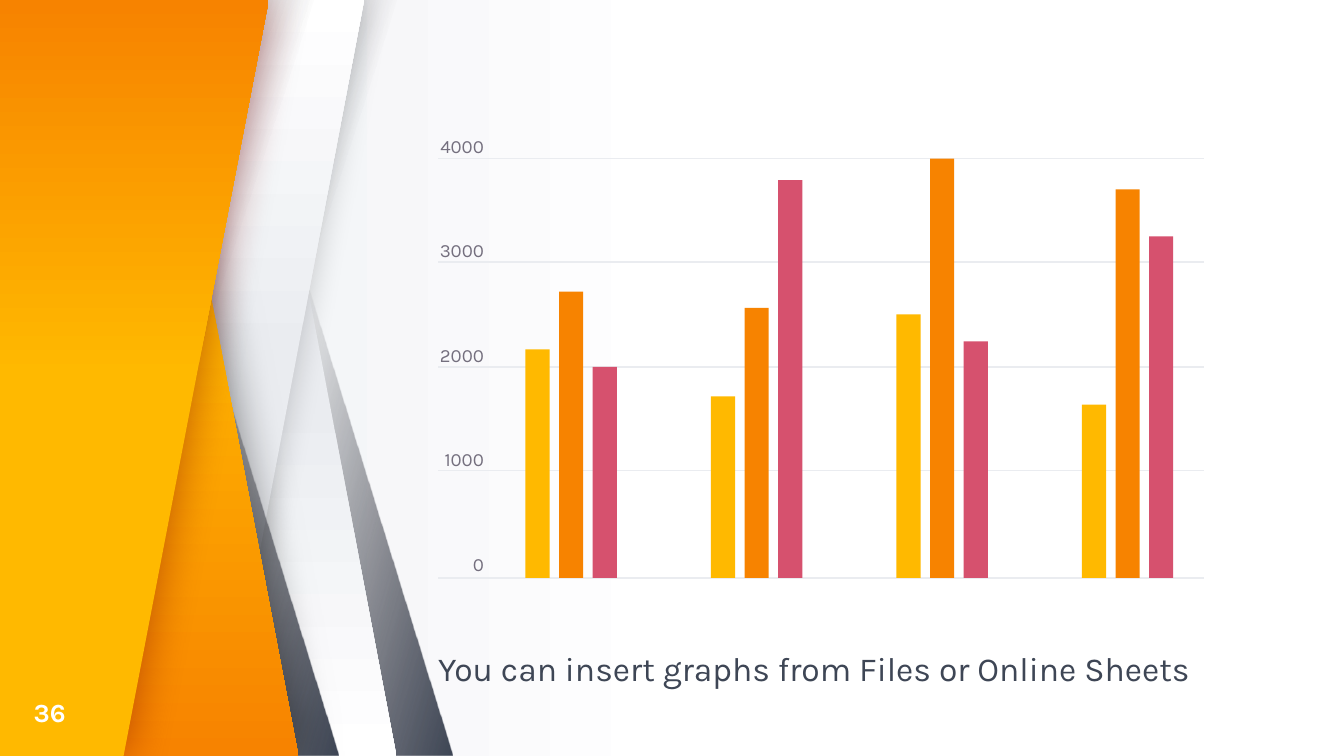
from pptx import Presentation
from pptx.dml.color import RGBColor
from pptx.enum.shapes import MSO_CONNECTOR, MSO_SHAPE
from pptx.enum.text import MSO_ANCHOR, PP_ALIGN
from pptx.oxml.ns import qn
from pptx.util import Inches, Pt
from lxml.etree import SubElement

COLORS = {
    "white": "FFFFFF", "pale": "EAECF0", "ink": "27252C", "slate": "3E4655",
    "yellow": "FFB900", "orange": "F78300", "pink": "D6516E",
    "label": "746F7E", "black": "000000", "maroon": "7E0808",
}
FONT = "Karla"
WIDTH = Inches(10)
HEIGHT = WIDTH * 9 // 16


def rgb(name):
    return RGBColor.from_string(COLORS[name])


class SlideBuilder:
    def __init__(self, prs):
        self.slide = prs.slides.add_slide(prs.slide_layouts[6])
        self.shapes = self.slide.shapes

    def gradient(self, fill, stops, angle):
        """Fill with two (position %, colour) stops; the angle runs clockwise."""
        fill.gradient()
        fill.gradient_angle = (360 - angle) % 360
        for stop, (position, color) in zip(fill.gradient_stops, stops):
            stop.position = position / 100
            stop.color.rgb = rgb(color)

    def glow_shadow(self, sp, color, alpha, blur):
        """Add a soft shadow with no offset; alpha in %, blur in points."""
        effects = sp._element.spPr.find(qn("a:effectLst"))
        shadow = SubElement(effects, qn("a:outerShdw"), blurRad=str(Pt(blur)),
                            dist="0", dir="0", algn="ctr", rotWithShape="0")
        clr = SubElement(shadow, qn("a:srgbClr"), val=COLORS[color])
        SubElement(clr, qn("a:alpha"), val=str(alpha * 1000))

    def plain(self, sp):
        sp.shadow.inherit = False
        sp.line.fill.background()
        return sp

    def band(self, left, slant, stops, angle, flip=False, fade=False):
        """Add a slanted band; fade makes its first stop transparent."""
        sp = self.plain(self.shapes.add_shape(
            MSO_SHAPE.PARALLELOGRAM, Inches(left), 0, Inches(2.3), HEIGHT))
        sp.adjustments[0] = slant
        self.gradient(sp.fill, stops, angle)
        if flip:
            sp._element.spPr.find(qn("a:xfrm")).set("flipH", "1")
        if fade:
            clr = next(sp._element.spPr.iter(qn("a:srgbClr")))
            SubElement(clr, qn("a:alpha"), val="0")
        return sp

    def panel(self, top_width, bottom_width, stops, angle):
        """Add a full-height panel at the left edge with a slanted right side."""
        builder = self.shapes.build_freeform(0, 0)
        builder.add_line_segments(
            [(0, HEIGHT), (Inches(bottom_width), HEIGHT), (Inches(top_width), 0)],
            close=True)
        sp = self.plain(builder.convert_to_shape())
        self.gradient(sp.fill, stops, angle)
        return sp

    def text(self, box, lines, size, color, bold=None, align=None,
             anchor=MSO_ANCHOR.TOP, gap=0):
        """Add a text box; gap is the space in points between its lines."""
        tf = self.shapes.add_textbox(*map(Inches, box)).text_frame
        tf.margin_left = tf.margin_right = tf.margin_top = tf.margin_bottom = 0
        tf.word_wrap = True
        tf.vertical_anchor = anchor
        tf.text = "\n".join(lines)
        for i, p in enumerate(tf.paragraphs):
            p.alignment = align
            if i:
                p.space_before = Pt(gap)
            for r in p.runs:
                r.font.name, r.font.size, r.font.bold = FONT, Pt(size), bold
                r.font.color.rgb = rgb(color)

    def grid_line(self, left, right, y):
        line = self.shapes.add_connector(
            MSO_CONNECTOR.STRAIGHT, Inches(left), Inches(y), Inches(right), Inches(y))
        line.line.color.rgb = rgb("pale")
        line.line.width = Pt(0.75)
        SubElement(line._element.spPr, qn("a:effectLst"))

    def bar(self, left, base, height, color):
        sp = self.plain(self.shapes.add_shape(
            MSO_SHAPE.RECTANGLE, Inches(left), Inches(base - height),
            Inches(0.18), Inches(height)))
        sp.fill.solid()
        sp.fill.fore_color.rgb = rgb(color)


def draw_ribbons(s):
    right_shade = dict(slant=0.753, stops=[(45, "ink"), (100, "slate")],
                       angle=164, flip=True, fade=True)
    left_shade = dict(slant=0.753, stops=[(44, "ink"), (100, "slate")],
                      angle=198, fade=True)
    light = dict(slant=0.463, stops=[(53, "pale"), (100, "white")])

    s.band(1.07, **right_shade)
    s.band(0.65, **light, angle=90, flip=True)
    s.band(0.65, **left_shade)
    s.glow_shadow(s.band(0.41, **light, angle=270), "black", 20, 16.9)
    s.band(0.22, **right_shade)
    lower = s.panel(1.15, 2.22, [(37, "yellow"), (100, "orange")], 90)
    s.glow_shadow(lower, "black", 50, 24.7)
    s.band(0.03, **left_shade)
    upper = s.panel(2, 0.92, [(50, "yellow"), (100, "orange")], 270)
    s.glow_shadow(upper, "maroon", 50, 24.7)


def draw_graph(s):
    left, right, base = 3.26, 8.96, 4.3
    for y in (1.18, 1.95, 2.73, 3.5, base):
        s.grid_line(left, right, y)
    s.text((left, 1, 0.34, 3.31), [str(v) for v in range(4000, -1, -1000)],
           10, "label", align=PP_ALIGN.RIGHT, gap=44)

    bar_heights = [(1.7, 2.13, 1.57), (1.35, 2.01, 2.96),
                   (1.96, 3.12, 1.76), (1.29, 2.89, 2.54)]
    for group, heights in enumerate(bar_heights):
        for i, (height, color) in enumerate(zip(heights, ("yellow", "orange", "pink"))):
            s.bar(3.91 + 1.38 * group + 0.25 * i, base, height, color)


def main():
    prs = Presentation()
    prs.slide_width, prs.slide_height = WIDTH, HEIGHT
    s = SlideBuilder(prs)
    s.gradient(s.slide.background.fill, [(50, "white"), (100, "pale")], 180)
    draw_ribbons(s)
    s.text((3.26, 4.82, 6.24, 0.57),
           ["You can insert graphs from Files or Online Sheets"], 18, "slate")
    s.text((0.25, 5.16, 0.4, 0.27), ["36"], 14, "white", bold=True,
           anchor=MSO_ANCHOR.MIDDLE)
    draw_graph(s)
    prs.save("out.pptx")


if __name__ == "__main__":
    main()
